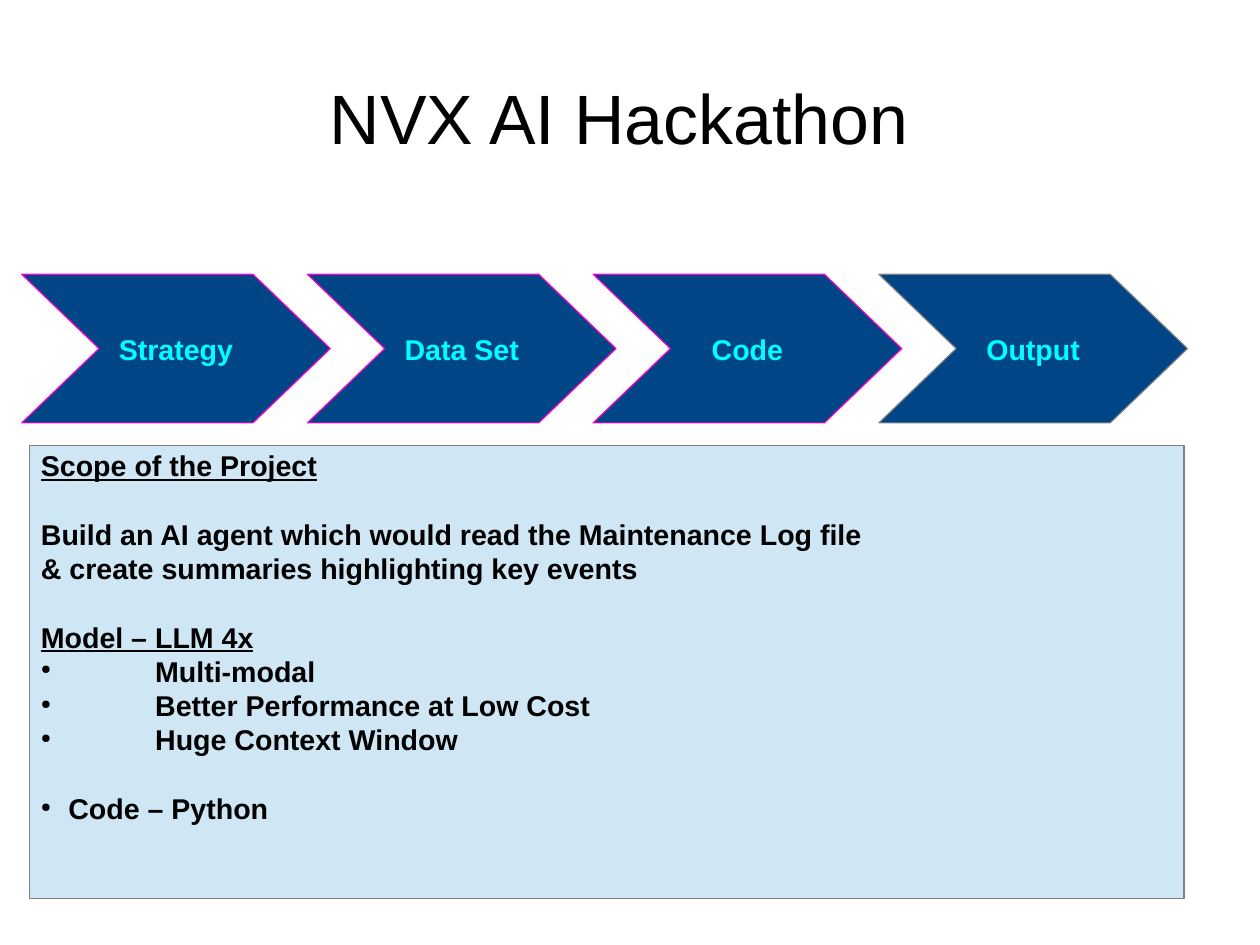
from lxml import etree
from pptx import Presentation
from pptx.dml.color import RGBColor
from pptx.enum.shapes import MSO_SHAPE
from pptx.enum.text import MSO_ANCHOR, PP_ALIGN
from pptx.oxml.ns import qn
from pptx.util import Pt

CHEVRON = MSO_SHAPE.CHEVRON
PROCESS = MSO_SHAPE.FLOWCHART_PROCESS
TOP, MIDDLE = MSO_ANCHOR.TOP, MSO_ANCHOR.MIDDLE
LEFT, CENTER = PP_ALIGN.LEFT, PP_ALIGN.CENTER
TITLE_ONLY = 5

PAGE_WIDTH, PAGE_HEIGHT = 10080625, 7559675  # EMU, the 28 by 21 cm screen format
PX = 9144  # 100 px to the inch
COLORS = {
    "black": "000000", "cyan": "00FFFF", "navy": "004586",
    "magenta": "FF00CC", "gray": "808080", "pale": "CFE7F5",
}
SECTION_GAP = 21.6
WIDE_INDENT, NARROW_INDENT = 100, 24

STEPS = [("Strategy", "magenta"), ("Data Set", "magenta"),
         ("Code", "magenta"), ("Output", "gray")]
SCOPE = [
    ("Scope of the Project", {"underline": True}),
    ("Build an AI agent which would read the Maintenance Log file",
     {"before": SECTION_GAP}),
    ("& create summaries highlighting key events", {}),
    ("Model – LLM 4x", {"underline": True, "before": SECTION_GAP}),
    ("Multi-modal", {"indent": WIDE_INDENT}),
    ("Better Performance at Low Cost", {"indent": WIDE_INDENT}),
    ("Huge Context Window", {"indent": WIDE_INDENT}),
    ("Code – Python", {"indent": NARROW_INDENT, "before": SECTION_GAP}),
]


def color(name):
    return RGBColor.from_string(COLORS[name])


def place(shape, box):
    shape.left, shape.top, shape.width, shape.height = (n * PX for n in box)


def add_bullet(para, indent):
    props = para._p.get_or_add_pPr()
    props.set("marL", str(indent * PX))
    props.set("indent", str(-indent * PX))
    bullet_color = etree.SubElement(props, qn("a:buClr"))
    etree.SubElement(bullet_color, qn("a:srgbClr"), val=COLORS["black"])
    etree.SubElement(props, qn("a:buSzPct"), val="45000")
    etree.SubElement(props, qn("a:buChar"), char="●")


def write(para, text, size=18, ink="black", bold=True, underline=False,
          align=LEFT, before=0, indent=0):
    if indent:
        add_bullet(para, indent)
    para.alignment = align
    para.space_before = Pt(before)
    span = para.add_run()
    span.text = text
    font = span.font
    font.name, font.size = "Arial", Pt(size)
    font.bold, font.underline = bold, underline
    font.color.rgb = color(ink)


def set_frame(frame, anchor, side=10, edge=5):
    frame.word_wrap = True
    frame.vertical_anchor = anchor
    frame.margin_left = frame.margin_right = side * PX
    frame.margin_top = frame.margin_bottom = edge * PX


def add_panel(page, kind, box, fill, line):
    """Add a filled preset shape with a hairline outline."""
    panel = page.shapes.add_shape(kind, *(n * PX for n in box))
    panel.shadow.inherit = False
    panel.fill.solid()
    panel.fill.fore_color.rgb = color(fill)
    panel.line.color.rgb = color(line)
    panel.line.width = Pt(0)
    return panel


def add_title(page, box):
    title = page.shapes.title
    place(title, box)
    set_frame(title.text_frame, MIDDLE, side=0, edge=0)
    write(title.text_frame.paragraphs[0], "NVX AI Hackathon",
          size=44, bold=False, align=CENTER)


def add_steps(page, box, pitch=250, width=270):
    left, top, _, height = box
    for index, (label, line) in enumerate(STEPS):
        step_box = (left + index * pitch, top, width, height)
        step = add_panel(page, CHEVRON, step_box, "navy", line)
        step.adjustments[0] = 0.52
        set_frame(step.text_frame, MIDDLE, side=0)
        write(step.text_frame.paragraphs[0], label, ink="cyan", align=CENTER)


def add_scope(page, box):
    frame = add_panel(page, PROCESS, box, "pale", "gray").text_frame
    set_frame(frame, TOP, edge=2)
    for index, (text, style) in enumerate(SCOPE):
        para = frame.add_paragraph() if index else frame.paragraphs[0]
        write(para, text, **style)


def main():
    deck = Presentation()
    deck.slide_width, deck.slide_height = PAGE_WIDTH, PAGE_HEIGHT
    page = deck.slides.add_slide(deck.slide_layouts[TITLE_ONLY])
    add_title(page, (46, 33, 992, 138))
    add_steps(page, (19, 240, 1020, 130))
    add_scope(page, (26, 390, 1010, 396))
    deck.save("out.pptx")


if __name__ == "__main__":
    main()
